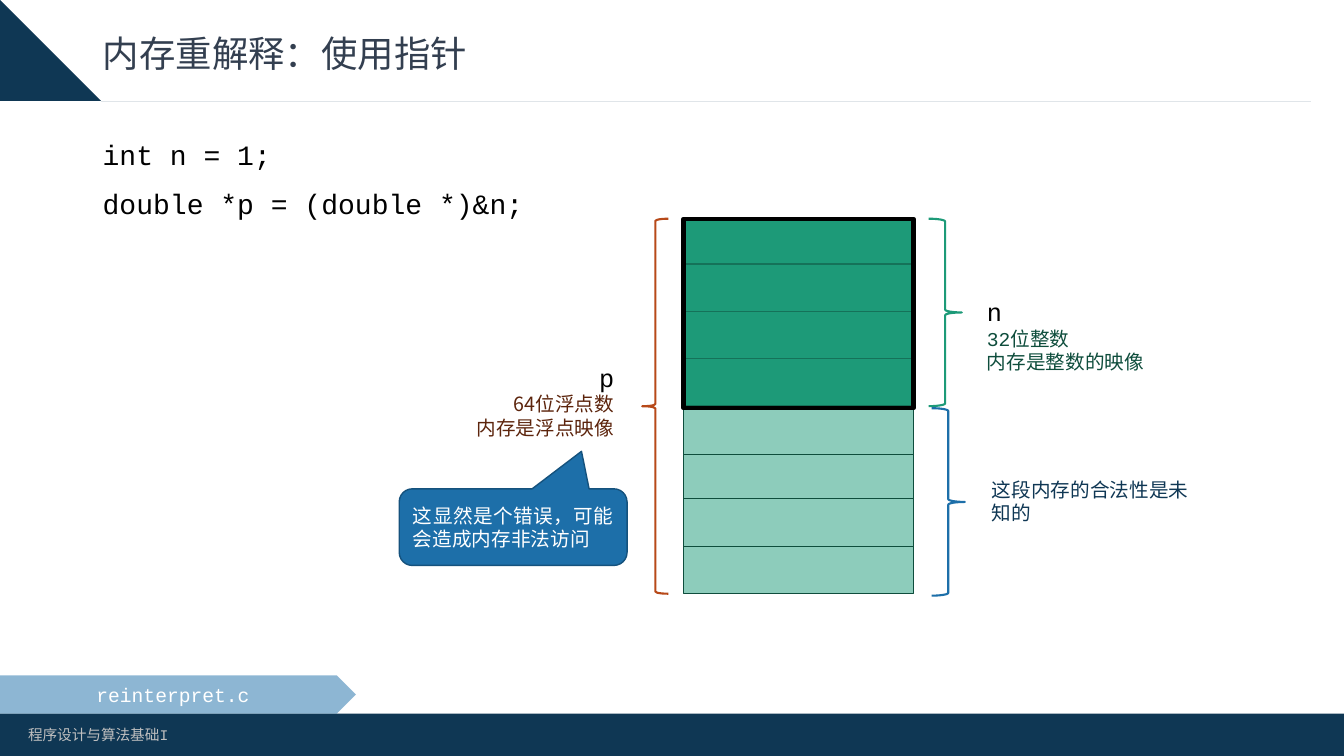
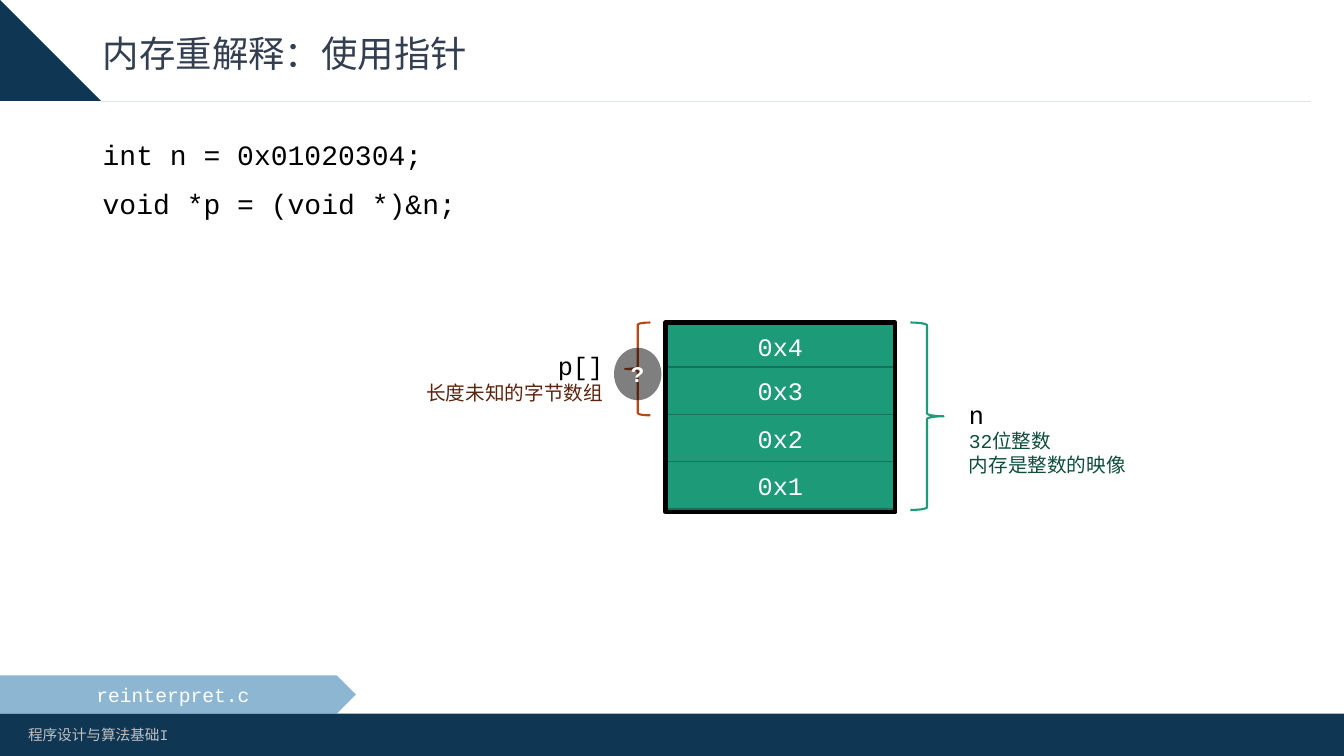
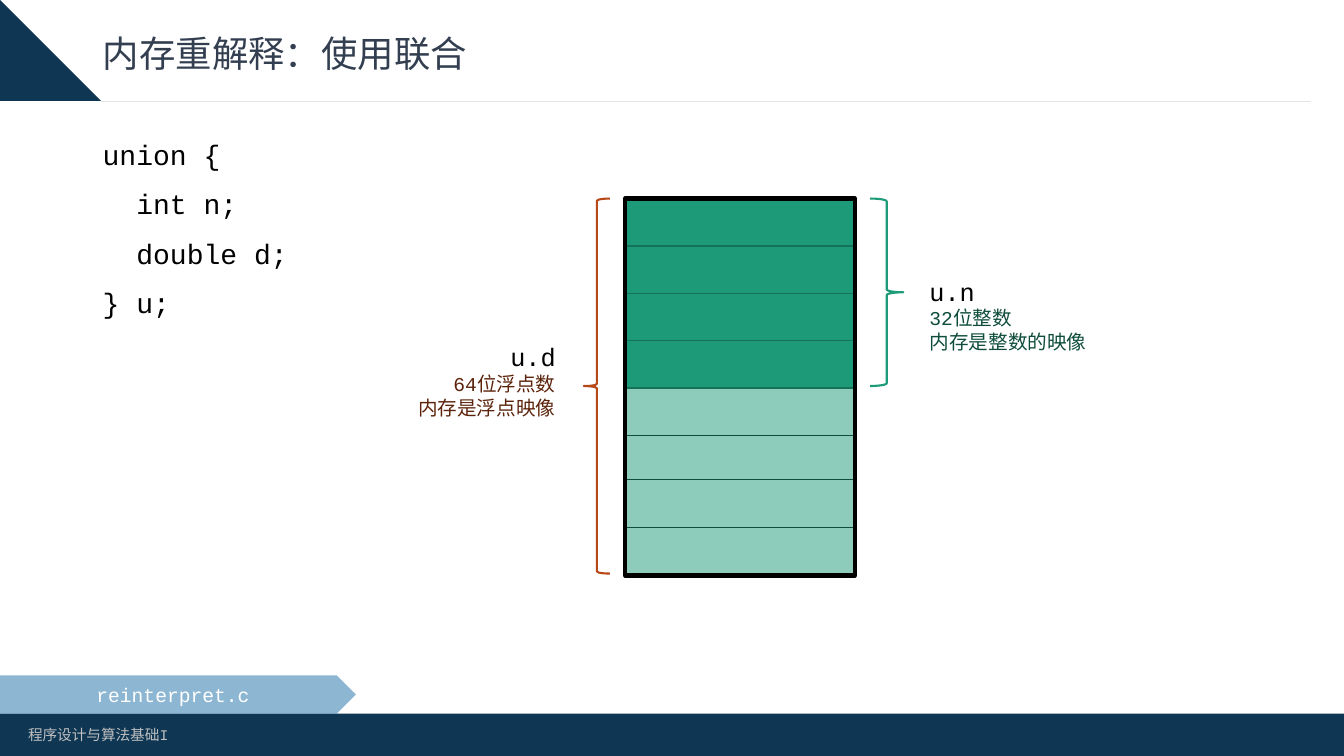
from lxml import etree
from pptx import Presentation
from pptx.dml.color import RGBColor
from pptx.enum.shapes import MSO_SHAPE
from pptx.enum.text import MSO_ANCHOR, PP_ALIGN
from pptx.oxml.ns import qn
from pptx.util import Inches, Pt

RECT, PENTAGON, ELLIPSE = MSO_SHAPE.RECTANGLE, MSO_SHAPE.PENTAGON, MSO_SHAPE.OVAL
LEFT_BRACE, RIGHT_BRACE = MSO_SHAPE.LEFT_BRACE, MSO_SHAPE.RIGHT_BRACE
CALLOUT = MSO_SHAPE.ROUNDED_RECTANGULAR_CALLOUT
LEFT, RIGHT, CENTER, JUSTIFY = PP_ALIGN.LEFT, PP_ALIGN.RIGHT, PP_ALIGN.CENTER, PP_ALIGN.JUSTIFY
TOP, MIDDLE = MSO_ANCHOR.TOP, MSO_ANCHOR.MIDDLE

MONO, SANS = "Courier New", "Noto Sans CJK SC"
NAVY, BLUE, BLUE_EDGE = "0F3754", "1D6FA9", "15527D"
GREEN, GREEN_EDGE, DARK_GREEN = "1D9A78", "157259", "0E4D3C"
ORANGE, BROWN = "B74919", "5C240C"
BLACK, WHITE, SLATE, GREY = "000000", "FFFFFF", "333F50", "BFBFBF"

CELL_W, CELL_H = 2.28, 0.47
PALE_STEPS = (0.47, 0.44, 0.47, 0.47)
INT_NOTES = ["32位整数", "内存是整数的映像"]
DOUBLE_NOTES = ["64位浮点数", "内存是浮点映像"]


def rgb(value):
    return RGBColor.from_string(value)


class Deck:
    """Holds the shared style and the slide being built."""

    def __init__(self):
        self.prs = Presentation()
        self.prs.slide_width, self.prs.slide_height = Inches(13.33), Inches(7.5)
        self.s = None

    def new_slide(self, title):
        """Start a slide with its title, bands, file tag and footer."""
        self.s = self.prs.slides.add_slide(self.prs.slide_layouts[5])
        self.outline([(0.92, 0.8), (13.33, 0.8), (13.33, 0.87), (0.93, 0.87)])
        self.outline([(0.43, 0.23), (0.86, 0.86), (0, 0.86), (0, 0.23)])
        self.shape(RECT, 0, 7.08, 13.33, 0.42, fill=NAVY)
        self.text(0.18, 7.15, 4.32, 0.29, ["程序设计与算法基础I"], size=10.5, color=GREY)
        sp = self.s.shapes.title
        sp.left, sp.top, sp.width, sp.height = map(Inches, (0.92, 0.23, 11.5, 0.64))
        self.put_text(sp, [title], anchor=MIDDLE, size=26, color=SLATE, line_spacing=0.9)
        tag = self.shape(PENTAGON, 0, 6.7, 3.53, 0.38, fill=BLUE, alpha=50)
        self.put_text(tag, ["reinterpret.c"], CENTER, MIDDLE, size=14, color=WHITE)

    def paint(self, sp, fill=None, line=None, width=1, alpha=None):
        sp.shadow.inherit = False
        if fill:
            sp.fill.solid()
            sp.fill.fore_color.rgb = rgb(fill)
        else:
            sp.fill.background()
        if alpha:
            clr = sp._element.spPr.find(qn("a:solidFill"))[0]
            etree.SubElement(clr, qn("a:alpha")).set("val", str(alpha * 1000))
        if line:
            sp.line.color.rgb = rgb(line)
            sp.line.width = Pt(width)
        else:
            sp.line.fill.background()
        return sp

    def shape(self, kind, x, y, w, h, **look):
        sp = self.s.shapes.add_shape(kind, *map(Inches, (x, y, w, h)))
        return self.paint(sp, **look)

    def outline(self, points):
        builder = self.s.shapes.build_freeform(*points[0], scale=Inches(1))
        builder.add_line_segments(points[1:])
        return self.paint(builder.convert_to_shape(), fill=NAVY)

    def put_text(self, sp, lines, align=LEFT, anchor=TOP, wrap=True, **fmt):
        """Set one paragraph a line; a line is a string or (string, format)."""
        tf = sp.text_frame
        tf.word_wrap, tf.vertical_anchor = wrap, anchor
        for i, line in enumerate(lines):
            text, own = (line, {}) if isinstance(line, str) else line
            look = {"font": MONO, "bold": False, **fmt, **own}
            p = tf.add_paragraph() if i else tf.paragraphs[0]
            p.alignment = align
            p.line_spacing = look.get("line_spacing", 1.0)
            p.space_before = Pt(look.get("gap", 0) if i else 0)
            r = p.add_run()
            r.text = text
            font = {"name": look["font"], "size": Pt(look["size"]), "bold": look["bold"]}
            for key, value in font.items():
                setattr(r.font, key, value)
            r.font.color.rgb = rgb(look["color"])
            etree.SubElement(r._r.get_or_add_rPr(), qn("a:ea")).set("typeface", SANS)

    def text(self, x, y, w, h, lines, align=LEFT, **fmt):
        sp = self.s.shapes.add_textbox(*map(Inches, (x, y, w, h)))
        self.put_text(sp, lines, align, **fmt)

    def code(self, *lines):
        self.text(0.92, 1.3, 11.5, 5.39, lines, JUSTIFY, size=20, color=BLACK,
                  gap=10, line_spacing=1.05)

    def label(self, x, y, w, name, notes, color, align=LEFT, font=MONO):
        """A variable name above smaller notes on its memory."""
        lines = [(name, {"size": 18, "color": BLACK, "font": MONO}), *notes]
        self.text(x, y, w, 0.4 + 0.24 * len(notes), lines, align,
                  size=14, color=color, font=font)

    def brace(self, kind, x, y, w, h, color):
        self.shape(kind, x, y, w, h, line=color, width=1.5)

    def int_cells(self, x, y, first_step=CELL_H, values=()):
        """Four solid bytes; the second one starts first_step below the first."""
        for i in range(4):
            top = y + (first_step + CELL_H * (i - 1) if i else 0)
            sp = self.shape(RECT, x, top, CELL_W, CELL_H, fill=GREEN, line=GREEN_EDGE)
            if values:
                self.put_text(sp, [values[i]], CENTER, MIDDLE, size=18, color=WHITE)

    def pale_cells(self, x, y):
        for h in PALE_STEPS:
            self.shape(RECT, x, y, CELL_W, h, fill=GREEN, alpha=50,
                       line=DARK_GREEN, width=0.75)
            y += h

    def frame(self, x, y, h):
        self.shape(RECT, x, y, CELL_W, h, line=BLACK, width=3)


def pointer_to_double(d):
    d.new_slide("内存重解释：使用指针")
    d.code("int n = 1;", "double *p = (double *)&n;")
    d.label(9.69, 2.89, 2.21, "n", INT_NOTES, DARK_GREEN)
    d.brace(RIGHT_BRACE, 9.21, 2.17, 0.33, 1.86, GREEN)
    d.brace(LEFT_BRACE, 6.37, 2.17, 0.26, 3.72, ORANGE)
    d.label(4.59, 3.54, 1.6, "p", DOUBLE_NOTES, BROWN, RIGHT, SANS)
    d.pale_cells(6.78, 4.04)
    d.int_cells(6.78, 2.17, first_step=0.45)
    d.frame(6.78, 2.17, 1.88)
    sp = d.shape(CALLOUT, 3.96, 4.85, 2.26, 0.76, fill=BLUE, line=BLUE_EDGE)
    for i, value in enumerate((0.3, -0.99, 0.17)):
        sp.adjustments[i] = value
    d.put_text(sp, ["这显然是个错误，可能会造成内存非法访问"], JUSTIFY, MIDDLE,
               size=14, color=WHITE)
    d.brace(RIGHT_BRACE, 9.24, 4.05, 0.33, 1.86, BLUE)
    d.text(9.74, 4.69, 2.21, 0.57, ["这段内存的合法性是未知的"],
           size=14, color=NAVY, font=SANS)


def pointer_to_bytes(d):
    d.new_slide("内存重解释：使用指针")
    d.code("int n = 0x01020304;", "void *p = (void *)&n;")
    d.int_cells(6.6, 3.2, first_step=0.44, values=("0x4", "0x3", "0x2", "0x1"))
    d.frame(6.6, 3.2, 1.88)
    d.label(9.51, 3.91, 2.21, "n", INT_NOTES, DARK_GREEN)
    d.brace(RIGHT_BRACE, 9.03, 3.2, 0.33, 1.86, GREEN)
    d.brace(LEFT_BRACE, 6.2, 3.2, 0.25, 0.92, ORANGE)
    d.label(3.79, 3.43, 2.29, "p[]", ["长度未知的字节数组"], BROWN, RIGHT)
    sp = d.shape(ELLIPSE, 6.09, 3.45, 0.47, 0.52, fill=BLACK, alpha=50)
    d.put_text(sp, ["?"], CENTER, MIDDLE, wrap=False, size=16, color=WHITE, bold=True)


def union_members(d):
    d.new_slide("内存重解释：使用联合")
    d.code("union {", "  int n;", "  double d;", "} u;")
    d.label(9.12, 2.69, 2.21, "u.n", INT_NOTES, DARK_GREEN)
    d.brace(RIGHT_BRACE, 8.63, 1.97, 0.33, 1.86, GREEN)
    d.brace(LEFT_BRACE, 5.79, 1.97, 0.26, 3.72, ORANGE)
    d.label(4.01, 3.34, 1.6, "u.d", DOUBLE_NOTES, BROWN, RIGHT)
    d.pale_cells(6.2, 3.85)
    d.int_cells(6.2, 1.97)
    d.frame(6.2, 1.97, 3.74)


def main():
    d = Deck()
    for build in (pointer_to_double, pointer_to_bytes, union_members):
        build(d)
    d.prs.save("out.pptx")


if __name__ == "__main__":
    main()
